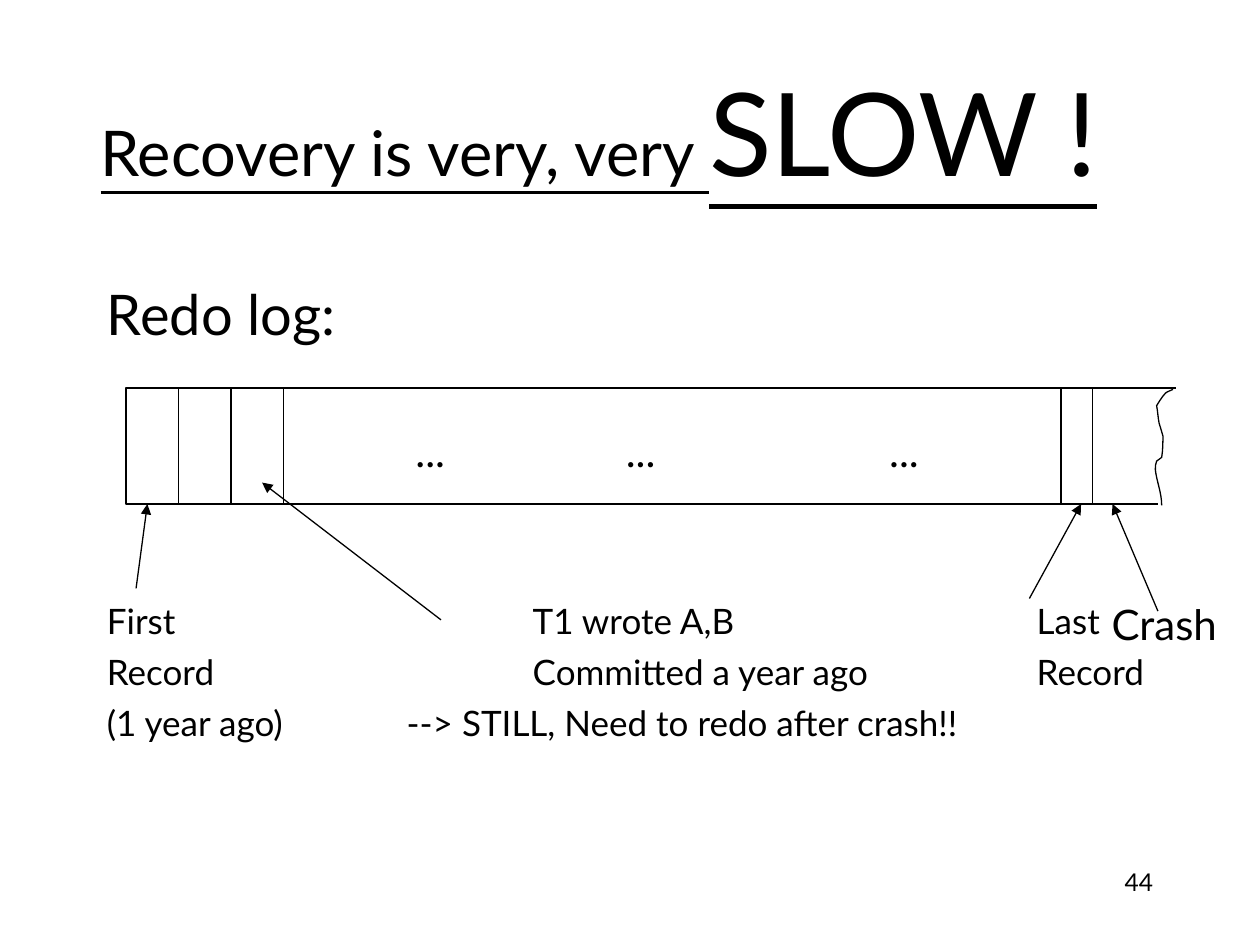
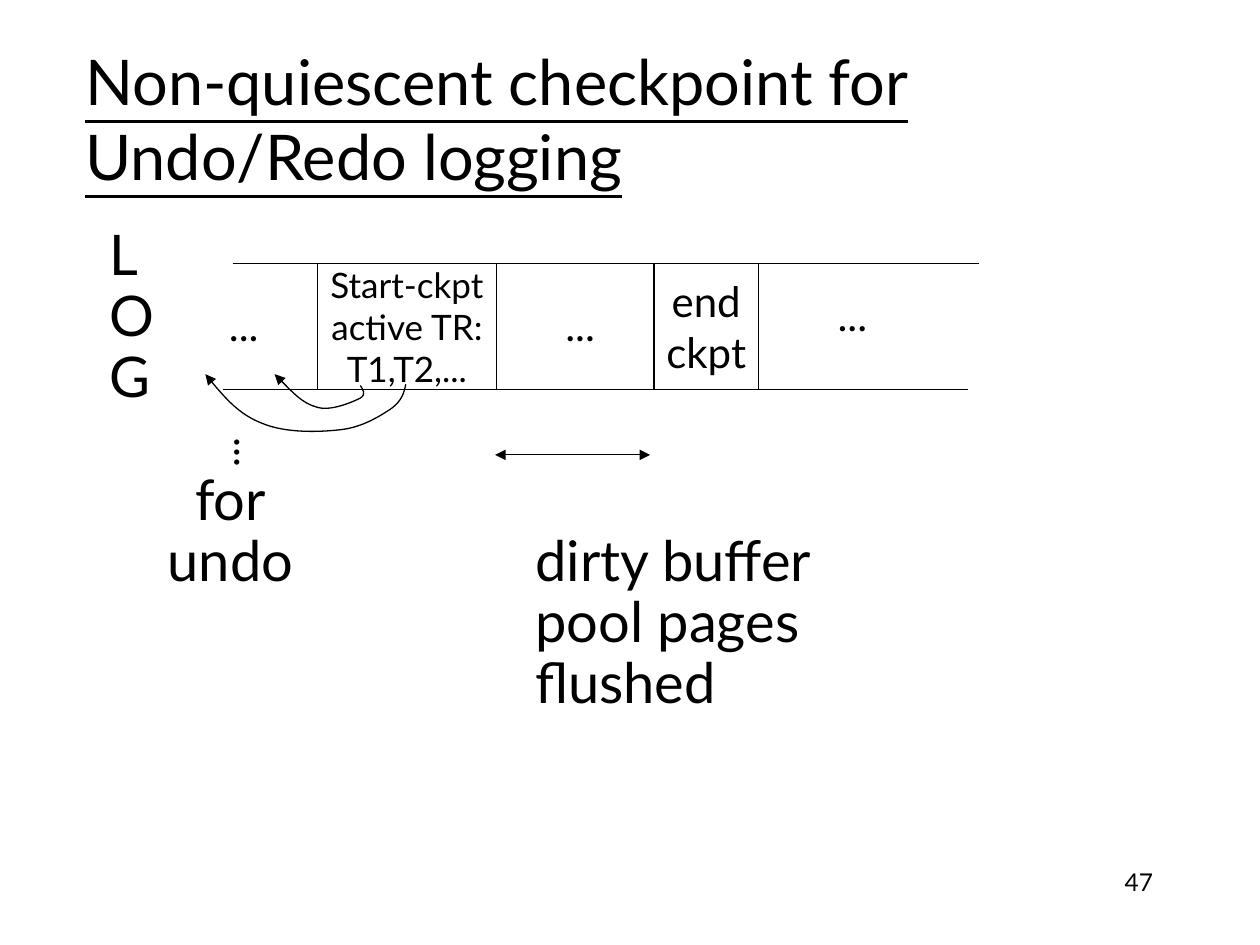
from itertools import accumulate
from lxml.etree import SubElement
from pptx import Presentation
from pptx.dml.color import RGBColor
from pptx.enum.shapes import MSO_CONNECTOR, MSO_SHAPE
from pptx.enum.text import MSO_ANCHOR, PP_ALIGN
from pptx.oxml.ns import qn
from pptx.util import Inches, Pt

FONT, INK, PAPER = "Lato", "000000", "FFFFFF"
LEFT, MID, RIGHT = PP_ALIGN.LEFT, PP_ALIGN.CENTER, PP_ALIGN.RIGHT
WIDE, HIGH = 10, 7.5
HEAD, BODY, NOTE, CELL, PAGE = 36, 32, 20, 24, 14

# Redo log: one narrow record is a column of 5/12 inch
COL = 5 / 12
LOG = (1, 3.08, 7.67, 0.92)
TOP, BASE = 3.08, 4
RULES = [1 + COL, 1 + 2 * COL, 1 + 3 * COL, 8.42]
EDGES = [((8.67, TOP), (9.33, TOP)), ((8.67, BASE), (9.19, BASE))]
ARROWS = [((9.19, 4.85), (8.83, BASE)), ((8.17, 4.75), (8.58, BASE)),
          ((1.08, 4.67), (1.17, BASE)), ((3.5, 4.92), (2.08, 3.83))]
DOTS = [(3.18, 3.33), (4.85, 3.33), (6.94, 3.33)]
RECORDS = [("First\tT1 wrote A,B\tLast", (3.38, 7.38)),
           ("Record\tCommitted a year ago\tRecord", (3.38, 7.38)),
           ("(1 year ago)\t--> STILL, Need to redo after crash!!", (2.38,))]
TEAR = [(9.31, 3.09), (9.29, 3.1), (9.26, 3.11), (9.25, 3.12),
        (9.22, 3.15), (9.18, 3.22), (9.18, 3.22),
        (9.19, 3.27), (9.19, 3.31), (9.2, 3.36),
        (9.21, 3.39), (9.23, 3.46), (9.23, 3.46),
        (9.23, 3.51), (9.23, 3.57), (9.22, 3.63),
        (9.21, 3.64), (9.19, 3.65), (9.18, 3.66),
        (9.17, 3.68), (9.17, 3.7), (9.17, 3.73),
        (9.18, 3.82), (9.22, 3.91), (9.22, 4.01)]

# Checkpoint log: cells stand side by side from START
START, ROOF, FLOOR = 2.52, 2.09, 3.09
CELLS = [(1.42, ["Start-ckpt", "active TR:", "T1,T2,..."], NOTE),
         (1.25, [], CELL),
         (0.83, ["end", "ckpt"], CELL)]
RAIL = 1.75
RAILS = [(6.02, ROOF), (5.93, FLOOR), (1.85, ROOF), (1.77, FLOOR)]
GAPS = [(6.53, 2.25, 0), (4.37, 2.33, 0), (1.7, 2.33, 0), (1.53, 3.34, 270)]
PITCH = 0.485  # one body line
WORDS = [(0.77, 0, 0.6, LEFT, ["L", "O", "G"]),
         (1.08, 4, 1.5, MID, ["for", "undo"]),
         (4.15, 5, 3, LEFT, ["dirty buffer", "pool pages", "flushed"])]
FLUSH = ((3.93, 3.61), (5.16, 3.61))
UNDO = [[(2.86, 3.06), (2.88, 3.09), (2.91, 3.13), (2.86, 3.16),
         (2.8, 3.19), (2.62, 3.27), (2.51, 3.23),
         (2.4, 3.2), (2.29, 3.08), (2.18, 2.97)],
        [(3.22, 3.05), (3.21, 3.11), (3.19, 3.18), (3.11, 3.24),
         (3.02, 3.3), (2.88, 3.39), (2.71, 3.41),
         (2.54, 3.43), (2.27, 3.44), (2.08, 3.36),
         (1.9, 3.29), (1.76, 3.13), (1.63, 2.97)]]


def hue(code):
    return RGBColor.from_string(code)


def style(par, size, align=LEFT, line=False):
    par.alignment = align
    font = par.font
    font.name, font.size, font.underline = FONT, Pt(size), line
    font.color.rgb = hue(INK)


def write(shape, lines, size, align=LEFT, gap=0, tight=None, wrap=True):
    """Fill a shape with lines; a line may be a (text, tab stops) pair."""
    frame = shape.text_frame
    frame.word_wrap = wrap
    for i, line in enumerate(lines):
        words, stops = (line, ()) if isinstance(line, str) else line
        par = frame.paragraphs[0] if i == 0 else frame.add_paragraph()
        par.text = words
        if i and gap:
            par.space_before = Pt(gap)
        if tight:
            par.line_spacing = tight
        if stops:
            tabs = SubElement(par._p.get_or_add_pPr(), qn("a:tabLst"))
            for stop in stops:
                SubElement(tabs, qn("a:tab"), pos=str(Inches(stop)), algn="l")
        style(par, size, align)
    return frame


def place(slide, x, y, w, h):
    return slide.shapes.add_textbox(*map(Inches, (x, y, w, h)))


def label(slide, x, y, words="...", w=0.47, turn=0):
    box = place(slide, x, y, w, 0.5)
    box.rotation = turn
    write(box, [words], CELL, MID, wrap=False).vertical_anchor = MSO_ANCHOR.MIDDLE


def block(slide, x, y, w, h):
    shape = slide.shapes.add_shape(MSO_SHAPE.RECTANGLE, *map(Inches, (x, y, w, h)))
    shape.shadow.inherit = False
    shape.fill.solid()
    shape.fill.fore_color.rgb = hue(PAPER)
    ink(shape)
    return shape


def ink(shape, *ends):
    """Draw a thin line, with arrowheads at the named ends."""
    shape.line.color.rgb = hue(INK)
    shape.line.width = Pt(0.75)
    for end in ends:
        SubElement(shape.line._get_or_add_ln(), qn(f"a:{end}"), type="triangle")


def rule(slide, a, b, *ends):
    line = slide.shapes.add_connector(MSO_CONNECTOR.STRAIGHT, *map(Inches, (*a, *b)))
    ink(line, *ends)
    SubElement(line._element.spPr, qn("a:effectLst"))


def curve(slide, dots, *ends):
    """Draw an open curve: a start, then three points per Bezier part."""
    spots = [(round(x * 100), round(y * 100)) for x, y in dots]
    build = slide.shapes.build_freeform(*spots[0], scale=Inches(1) / 100)
    build.add_line_segments(spots[1:], close=False)
    shape = build.convert_to_shape()
    steps = list(shape._element.iter(qn("a:lnTo")))
    for i in range(0, len(steps), 3):
        bend = SubElement(steps[i].getparent(), qn("a:cubicBezTo"))
        for step in steps[i:i + 3]:
            bend.append(step[0])
            step.getparent().remove(step)
    shape.shadow.inherit = False
    shape.fill.background()
    ink(shape, *ends)


def begin(deck, title, spot, page):
    """Add a slide with its underlined title and page number."""
    slide = deck.slides.add_slide(deck.slide_layouts[6])
    write(place(slide, 7.17, 6.83, 2.08, 0.5), [page], PAGE, RIGHT)
    frame = place(slide, *spot).text_frame
    frame.word_wrap = True
    frame.vertical_anchor = MSO_ANCHOR.MIDDLE
    par = frame.paragraphs[0]
    for words, size in title:
        run = par.add_run()
        run.text = words
        if size != HEAD:
            run.font.size = Pt(size)
    style(par, HEAD, line=True)
    return slide


def redo(deck):
    title = [("Recovery is very, very ", HEAD), ("SLOW !", 66)]
    slide = begin(deck, title, (0.7, 0.41, 8.5, 1.25), "44")
    write(place(slide, 0.75, 2.17, 8.5, 0.63), ["Redo log:"], BODY)
    write(place(slide, 0.75, 4.71, 8.5, 1.3), RECORDS, NOTE, gap=5)
    block(slide, *LOG)
    for a, b in EDGES:
        rule(slide, a, b)
    for x in RULES:
        rule(slide, (x, TOP), (x, BASE))
    for x, y in DOTS:
        label(slide, x, y)
    label(slide, 8.69, 4.7, "Crash", 1.1)
    for a, b in ARROWS:
        rule(slide, a, b, "tailEnd")
    curve(slide, TEAR)


def check(deck):
    title = [("Non-quiescent checkpoint for Undo/Redo logging", HEAD)]
    slide = begin(deck, title, (0.58, 0.43, 8.5, 1.01), "47")
    for x, row, w, align, lines in WORDS:
        box = place(slide, x, 1.84 + row * PITCH, w, len(lines) * PITCH + 0.1)
        write(box, lines, BODY, align, gap=8, tight=0.7)
    lefts = accumulate((w for w, _, _ in CELLS), initial=START)
    for x, (w, lines, size) in zip(lefts, CELLS):
        cell = block(slide, x, ROOF, w, FLOOR - ROOF)
        write(cell, lines, size, MID, wrap=False).vertical_anchor = MSO_ANCHOR.MIDDLE
    for x, y in RAILS:
        rule(slide, (x, y), (x + RAIL, y))
    for x, y, turn in GAPS:
        label(slide, x, y, turn=turn)
    rule(slide, *FLUSH, "headEnd", "tailEnd")
    for dots in UNDO:
        curve(slide, dots, "tailEnd")


def main():
    deck = Presentation()
    deck.slide_width, deck.slide_height = Inches(WIDE), Inches(HIGH)
    redo(deck)
    check(deck)
    deck.save("out.pptx")


if __name__ == "__main__":
    main()
